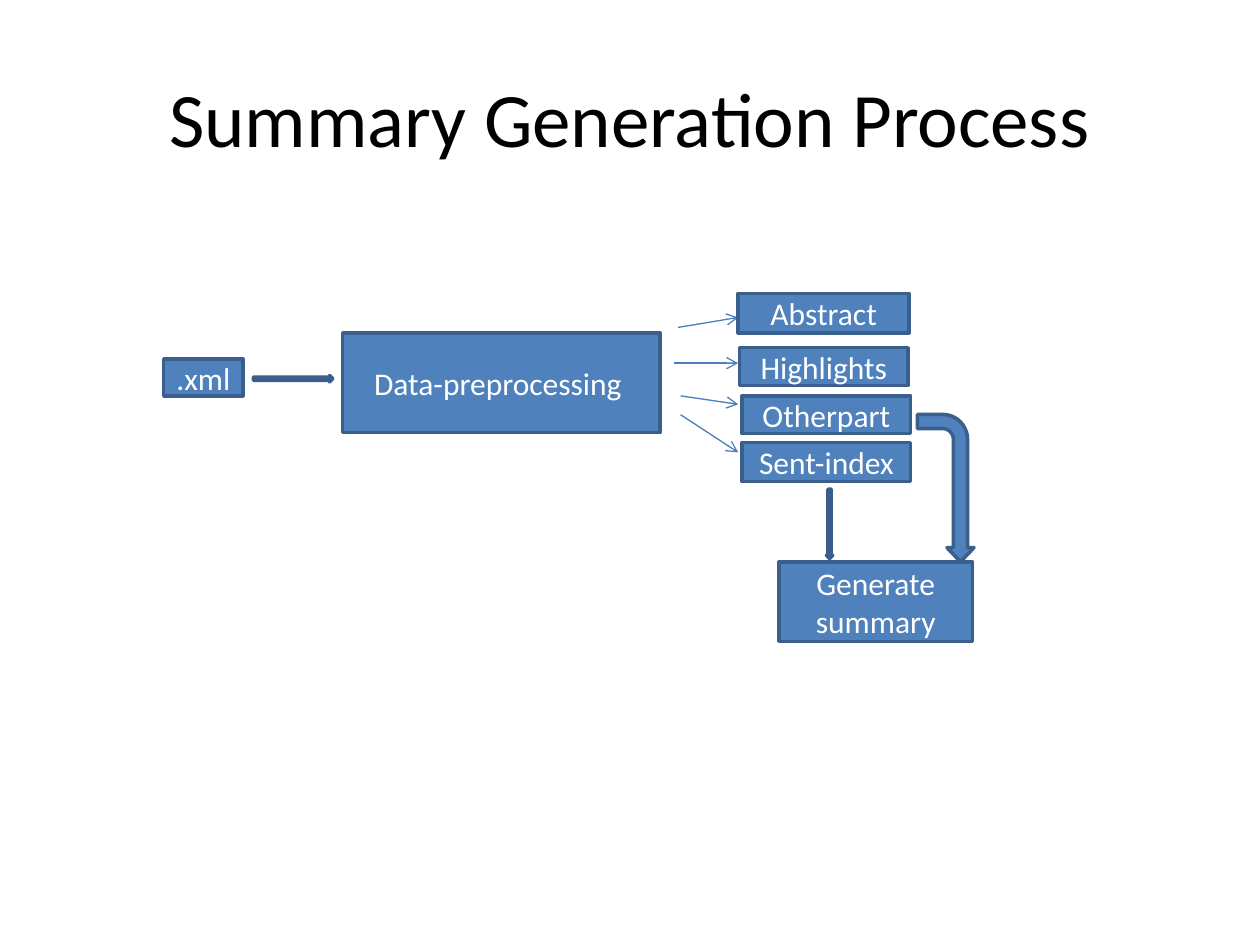
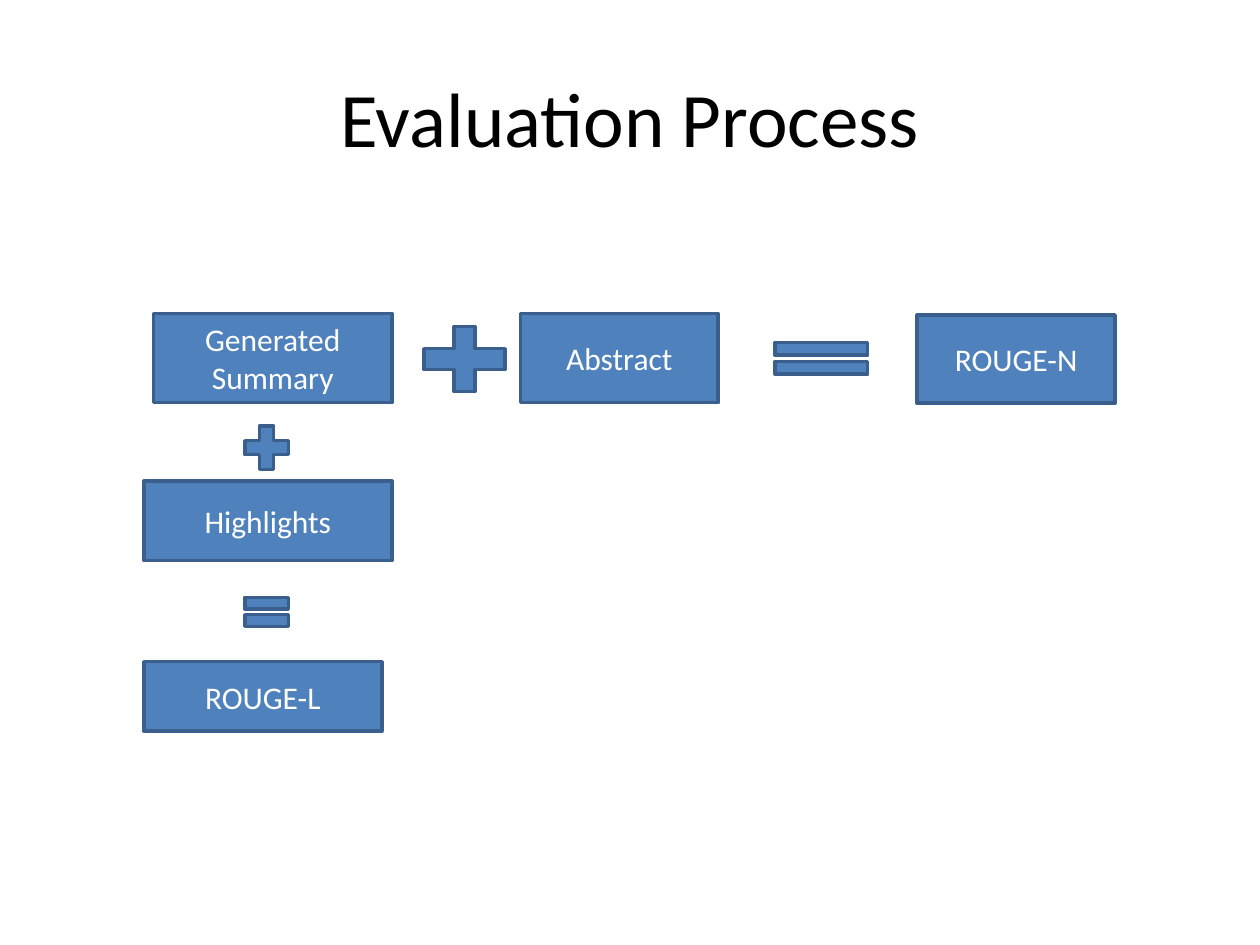
from lxml import etree
from pptx import Presentation
from pptx import util as u
from pptx.dml.color import RGBColor
from pptx.enum import shapes, text
from pptx.oxml.ns import qn

COLOURS = {
    "paper": "FFFFFF",
    "title": "000000",
    "fill": "4F81BD",
    "outline": "3A5F8C",
    "arrow": "4B7EBC",
    "label": "FFFFFF",
}
PRESET = shapes.MSO_SHAPE


class Board:
    font = "Calibri"
    title_size = 44
    label_size = 18

    def __init__(self, deck):
        self.deck = deck
        self.page = None

    def colour(self, name):
        return RGBColor.from_string(COLOURS[name])

    def new_page(self, title):
        self.page = self.deck.slides.add_slide(self.deck.slide_layouts[6])
        background = self.page.background.fill
        background.solid()
        background.fore_color.rgb = self.colour("paper")
        place = [u.Cm(n) for n in (1.27, 0.76, 22.86, 3.18)]
        box = self.page.shapes.add_textbox(*place)
        self.add_words(box, title, self.title_size, "title")

    def add_words(self, box, words, size, colour):
        frame = box.text_frame
        frame.word_wrap = True
        frame.vertical_anchor = text.MSO_ANCHOR.MIDDLE
        for number, line in enumerate(words.split("\n")):
            para = frame.add_paragraph() if number else frame.paragraphs[0]
            para.alignment = text.PP_ALIGN.CENTER
            span = para.add_run()
            span.text = line
            span.font.name = self.font
            span.font.size = u.Pt(size)
            span.font.color.rgb = self.colour(colour)

    def symbol(self, preset, *place, turn=0, adjustments=()):
        shape = self.page.shapes.add_shape(preset, *[u.Cm(n) for n in place])
        shape.shadow.inherit = False
        shape.fill.solid()
        shape.fill.fore_color.rgb = self.colour("fill")
        shape.line.color.rgb = self.colour("outline")
        shape.line.width = u.Pt(2)
        shape.rotation = turn
        for number, value in enumerate(adjustments):
            shape.adjustments[number] = value
        return shape

    def block(self, words, *place):
        box = self.symbol(PRESET.RECTANGLE, *place)
        self.add_words(box, words, self.label_size, "label")

    def arrow(self, *ends):
        line = self.page.shapes.add_connector(
            shapes.MSO_CONNECTOR.STRAIGHT, *[u.Cm(n) for n in ends])
        line.line.color.rgb = self.colour("arrow")
        line.line.width = u.Pt(0.75)
        properties = line._element.spPr
        etree.SubElement(properties.find(qn("a:ln")), qn("a:tailEnd"), type="arrow")
        etree.SubElement(properties, qn("a:effectLst"))


def summary_page(board):
    board.new_page("Summary Generation Process")
    board.block("Data-preprocessing ", 6.91, 6.71, 6.4, 2.01)
    board.symbol(PRESET.RIGHT_ARROW, 5.11, 7.57, 1.6, 0.13)
    board.block(".xml", 3.3, 7.24, 1.6, 0.74)

    parts_left = 14.88
    for start_x, start_y, end_y in (
        (13.67, 6.6, 6.4),
        (13.59, 7.32, 7.32),
        (13.72, 7.98, 8.15),
        (13.72, 8.36, 9.12),
    ):
        board.arrow(start_x, start_y, parts_left, end_y)

    for words, left, top, width, height in (
        ("Abstract", parts_left, 5.92, 3.45, 0.79),
        ("Highlights", 14.91, 7.01, 3.4, 0.76),
        ("Otherpart", 14.96, 7.98, 3.4, 0.76),
        ("Sent-index", 14.96, 8.92, 3.4, 0.79),
    ):
        board.block(words, left, top, width, height)

    board.symbol(PRESET.DOWN_ARROW, 16.66, 9.86, 0.13, 1.4)
    board.symbol(PRESET.BENT_ARROW, 17.58, 9.27, 2.97, 1.14,
                 turn=90, adjustments=(0.25, 0.24, 0.25, 0.44))
    board.block("Generate\nsummary", 15.7, 11.33, 3.91, 1.6)


def evaluation_page(board):
    board.new_page("Evaluation Process")
    row_top, row_height = 6.32, 1.8
    column_left, sign_left, sign_width = 2.9, 4.78, 1.19

    board.block("Generated Summary", 3.1, row_top, 4.8, row_height)
    board.block("Highlights", column_left, 9.7, 5, 1.6)
    board.block("Abstract", 10.49, row_top, 3.99, row_height)
    board.symbol(PRESET.MATH_PLUS, 8.26, 6.35, 2.21, 1.78)
    board.symbol(PRESET.MATH_EQUAL, 15.29, 6.68, 2.54, 1.09)
    board.block("ROUGE-N", 18.49, 6.35, 3.99, 1.78)
    board.symbol(PRESET.MATH_PLUS, sign_left, 8.43, sign_width, sign_width)
    board.symbol(PRESET.MATH_EQUAL, sign_left, 11.84, sign_width, 0.99)
    board.block("ROUGE-L", column_left, 13.34, 4.8, 1.4)


deck = Presentation()
deck.slide_width = u.Cm(25.4)
deck.slide_height = u.Cm(19.05)
board = Board(deck)
summary_page(board)
evaluation_page(board)
deck.save("out.pptx")
